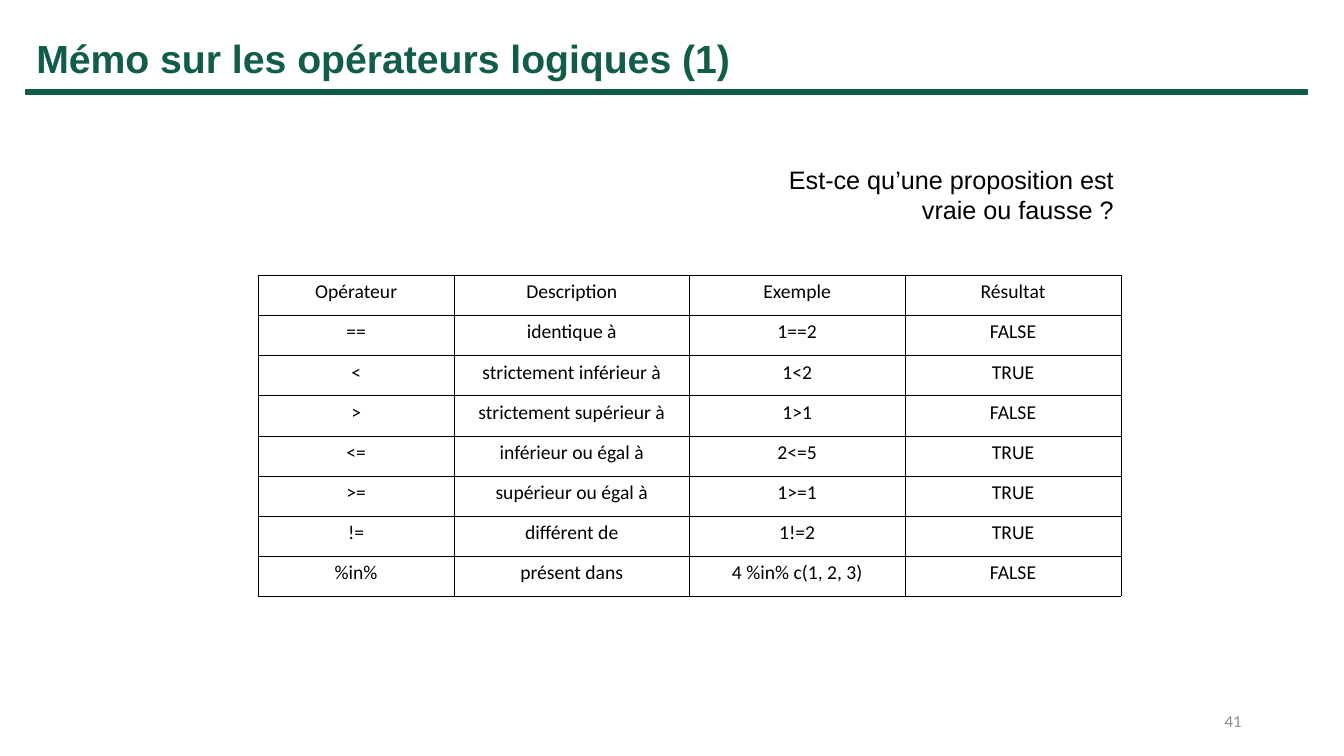
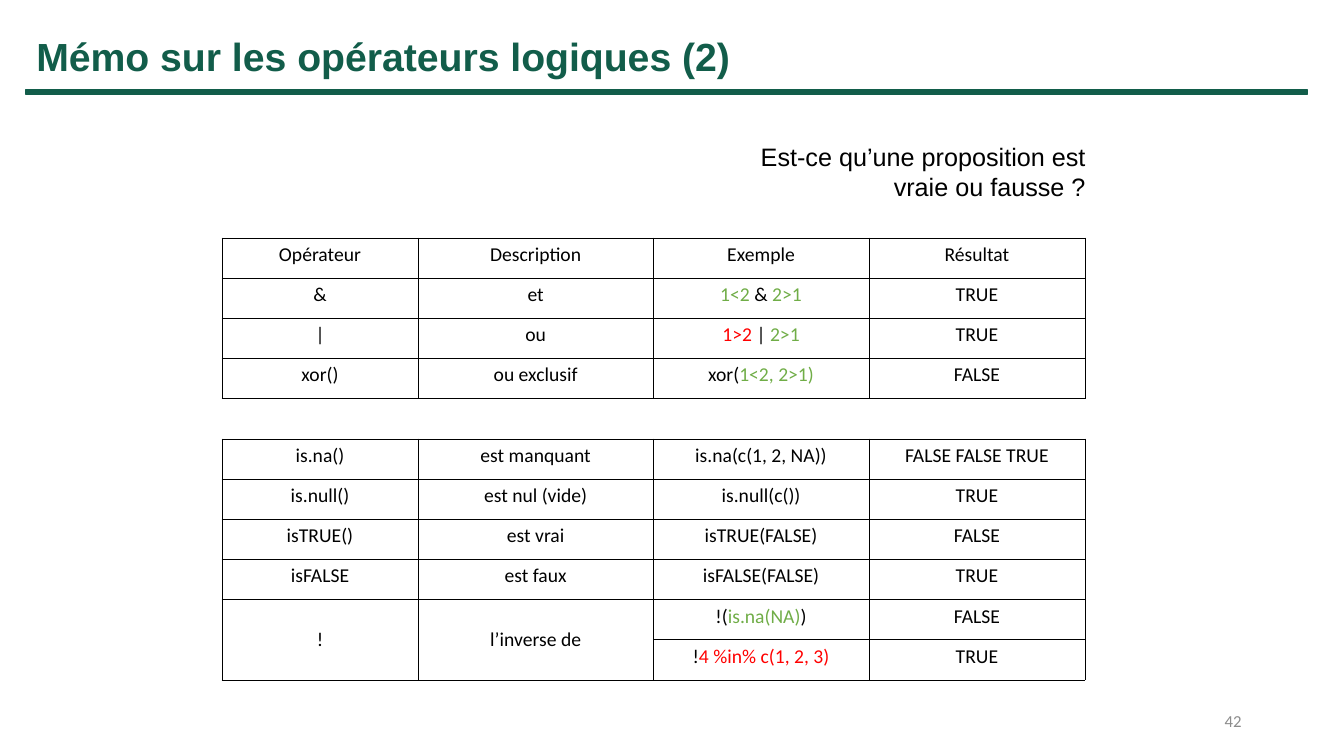
from pptx import Presentation
from pptx import util as u
from pptx.dml.color import RGBColor
from pptx.enum import shapes, text
from pptx.oxml import parse_xml
from pptx.oxml.ns import nsdecls

# Shared look
GREEN, BLACK, GREY = "125D4A", "000000", "8C8C8C"
TRUE, FALSE = "70AD47", "FF0000"
LEFT, MID, RIGHT = text.PP_ALIGN.LEFT, text.PP_ALIGN.CENTER, text.PP_ALIGN.RIGHT
TOP, CENTER = text.MSO_ANCHOR.TOP, text.MSO_ANCHOR.MIDDLE
WIDTHS = [4.95, 5.92, 5.44, 5.44]
ROW = 8.1 / 8
ASK = "Est-ce qu’une proposition est vraie ou fausse ?"
HEAD = ["Opérateur", "Description", "Exemple", "Résultat"]


def write(frame, words, font="Calibri", size=14, color=BLACK, bold=False,
          align=MID, anchor=TOP):
    """Fill a frame with a string, or with a list of (string, colour) runs."""
    frame.word_wrap = True
    frame.vertical_anchor = anchor
    para = frame.paragraphs[0]
    para.alignment = align
    for part, tint in [(words, color)] if isinstance(words, str) else words:
        run = para.add_run()
        run.text = part
        run.font.name, run.font.size, run.font.bold = font, u.Pt(size), bold
        run.font.color.rgb = RGBColor.from_string(tint)


def border(cell, sides):
    """Draw thin black lines on the named sides and clear the others."""
    props = cell._tc.get_or_add_tcPr()
    for side in "LRTB":
        fill = (f'<a:solidFill><a:srgbClr val="{BLACK}"/></a:solidFill>'
                if side in sides else "<a:noFill/>")
        props.append(parse_xml(
            f'<a:ln{side} {nsdecls("a")} w="{u.Pt(0.25)}">{fill}</a:ln{side}>'))
    cell.fill.background()


# Content: title top, question place, table place, rows, merged cells
slides = [
    dict(page=41, title="Mémo sur les opérateurs logiques (1)", top=0.74,
         ask=(19.48, 4.01), grid=(6.5, 6.93), merge=[], rows=[
             HEAD,
             ["==", "identique à", "1==2", "FALSE"],
             ["<", "strictement inférieur à", "1<2", "TRUE"],
             [">", "strictement supérieur à", "1>1", "FALSE"],
             ["<=", "inférieur ou égal à", "2<=5", "TRUE"],
             [">=", "supérieur ou égal à", "1>=1", "TRUE"],
             ["!=", "différent de", "1!=2", "TRUE"],
             ["%in%", "présent dans", "4 %in% c(1, 2, 3)", "FALSE"],
         ]),
    dict(page=42, title="Mémo sur les opérateurs logiques (2)", top=0.69,
         ask=(18.77, 3.43), grid=(5.59, 5.99),
         merge=[((9, 0), (10, 0)), ((9, 1), (10, 1))], rows=[
             HEAD,
             ["&", "et", [("1<2", TRUE), (" & ", BLACK), ("2>1", TRUE)], "TRUE"],
             ["|", "ou", [("1>2", FALSE), (" | ", BLACK), ("2>1", TRUE)], "TRUE"],
             ["xor()", "ou exclusif", [("xor(", BLACK), ("1<2, 2>1)", TRUE)], "FALSE"],
             [""] * 4,
             ["is.na()", "est manquant", "is.na(c(1, 2, NA))", "FALSE FALSE TRUE"],
             ["is.null()", "est nul (vide)", "is.null(c())", "TRUE"],
             ["isTRUE()", "est vrai", "isTRUE(FALSE)", "FALSE"],
             ["isFALSE", "est faux", "isFALSE(FALSE)", "TRUE"],
             ["!", "l’inverse de",
              [("!(", BLACK), ("is.na(NA)", TRUE), (")", BLACK)], "FALSE"],
             ["", "", [("!", BLACK), ("4 %in% c(1, 2, 3)", FALSE)], "TRUE"],
         ]),
]

prs = Presentation()
prs.slide_width, prs.slide_height = u.Cm(33.87), u.Cm(19.05)

for data in slides:
    slide = prs.slides.add_slide(prs.slide_layouts[5])

    # Title and band
    title = slide.shapes.title
    title.left, title.top = u.Cm(0.66), u.Cm(data["top"])
    title.width, title.height = u.Cm(24.49), u.Cm(1.45)
    title.text_frame.auto_size = text.MSO_AUTO_SIZE.NONE
    write(title.text_frame, data["title"], font="Arial", size=28, color=GREEN,
          bold=True, align=LEFT)
    band = slide.shapes.add_shape(shapes.MSO_SHAPE.RECTANGLE, u.Cm(0.66),
                                  u.Cm(2.26), u.Cm(32.28), u.Cm(0.13))
    band.shadow.inherit = False
    band.fill.solid()
    band.fill.fore_color.rgb = RGBColor.from_string(GREEN)
    band.line.color.rgb = RGBColor.from_string(GREEN)
    band.line.width = u.Pt(1)

    # Question
    left, top = data["ask"]
    ask = slide.shapes.add_textbox(u.Cm(left), u.Cm(top), u.Cm(8.84), u.Cm(1.8))
    write(ask.text_frame, ASK, font="Arial", size=18, align=RIGHT)

    # Table
    rows, (left, top) = data["rows"], data["grid"]
    grid = slide.shapes.add_table(len(rows), len(WIDTHS), u.Cm(left), u.Cm(top),
                                  u.Cm(sum(WIDTHS)), u.Cm(ROW * len(rows))).table
    grid.first_row = grid.horz_banding = False
    for col, width in zip(grid.columns, WIDTHS):
        col.width = u.Cm(width)
    for first, last in data["merge"]:
        grid.cell(*first).merge(grid.cell(*last))
    for r, row in enumerate(rows):
        for c, words in enumerate(row):
            cell = grid.cell(r, c)
            border(cell, "LRTB" if any(row) else "TB")
            if words:
                write(cell.text_frame, words)
            cell.vertical_anchor = CENTER if cell.is_merge_origin else TOP

    # Page number
    page = slide.shapes.add_textbox(u.Cm(23.92), u.Cm(17.66), u.Cm(7.62), u.Cm(1.01))
    write(page.text_frame, str(data["page"]), size=12, color=GREY, align=RIGHT,
          anchor=CENTER)

prs.save("out.pptx")
